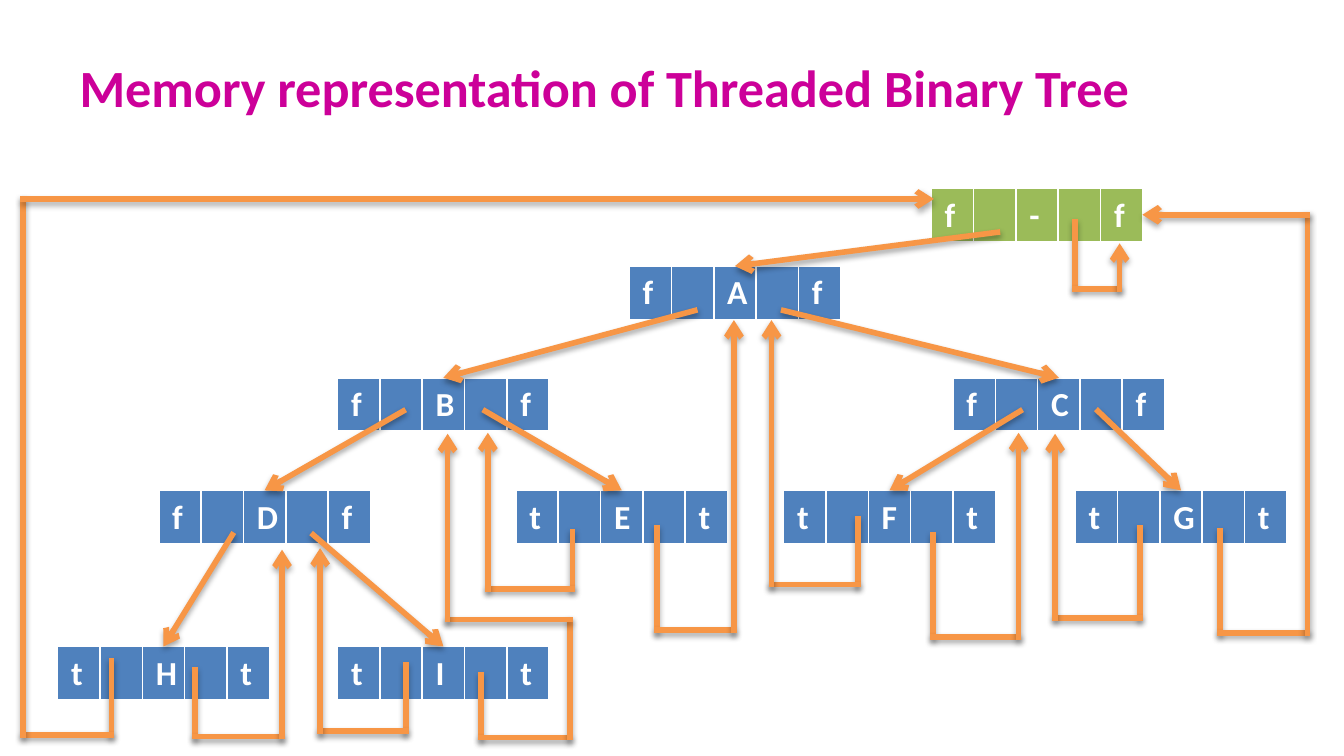
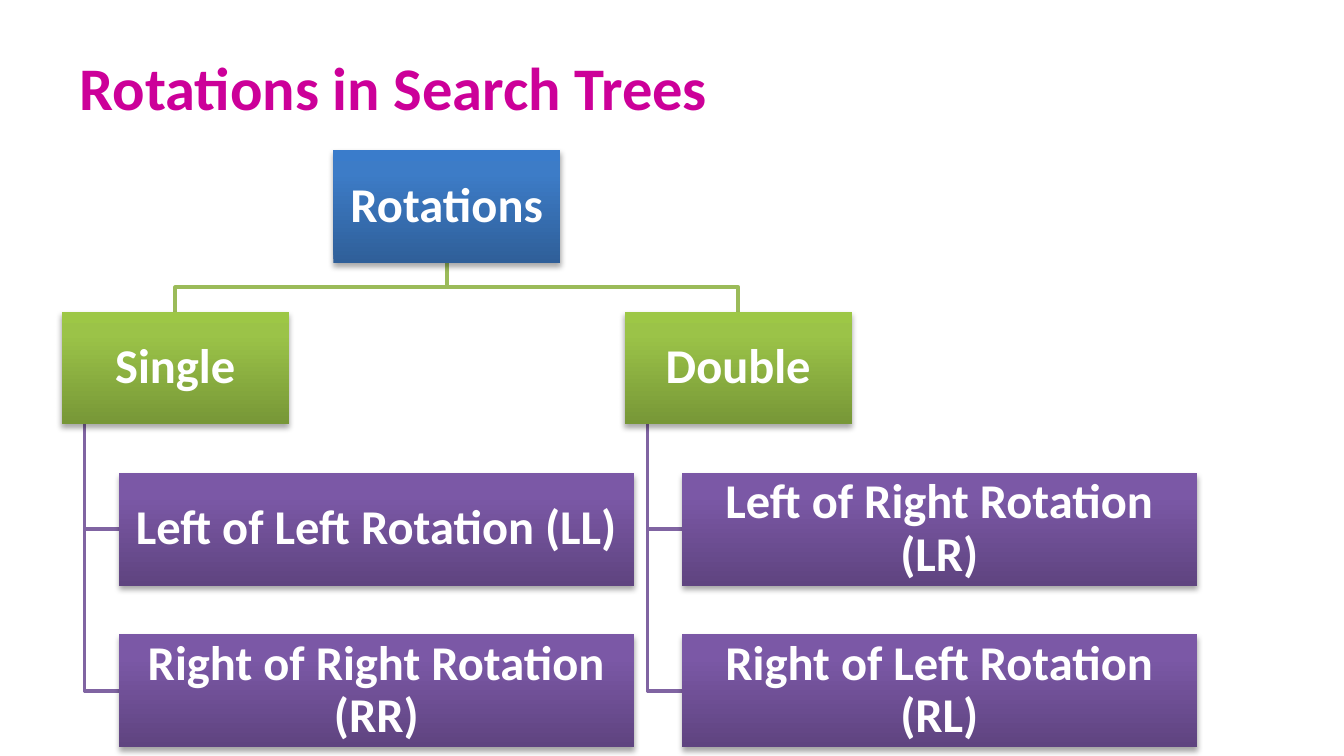
from itertools import pairwise

from lxml import etree
from pptx import Presentation
from pptx.dml.color import RGBColor
from pptx.enum.shapes import MSO_CONNECTOR, MSO_SHAPE
from pptx.enum.text import MSO_ANCHOR, MSO_AUTO_SIZE, PP_ALIGN
from pptx.oxml import parse_xml
from pptx.oxml.ns import nsdecls, qn
from pptx.util import Cm, Pt

FONT = "Calibri"
MAGENTA = RGBColor(0xCC, 0x00, 0x99)
WHITE = RGBColor(0xFF, 0xFF, 0xFF)
BLUE = RGBColor(0x4F, 0x81, 0xBD)
GREEN = RGBColor(0x9B, 0xBB, 0x59)
PURPLE = RGBColor(0x80, 0x64, 0xA2)
ORANGE = RGBColor(0xF7, 0x96, 0x46)

# Gradient colours at 0, 80 and 100 percent, from the bottom up
BLUE_SHADES = [RGBColor(0x2F, 0x5F, 0x99), RGBColor(0x3D, 0x7C, 0xC7), RGBColor(0x3A, 0x7C, 0xCB)]
GREEN_SHADES = [RGBColor(0x77, 0x97, 0x37), RGBColor(0x9B, 0xC3, 0x48), RGBColor(0x9D, 0xC7, 0x46)]
PURPLE_SHADES = [RGBColor(0x5F, 0x44, 0x80), RGBColor(0x7B, 0x58, 0xA6), RGBColor(0x7C, 0x57, 0xA8)]
STOPS = [0, 80000, 100000]

# Memory nodes: five fields in a row
FIELD_W, NODE_H = 0.8, 1.04
NODE_W = 5 * FIELD_W

# Rotation chart
BOX_W, BOX_H, LEAF_W = 4.29, 2.13, 9.73
ROW_TOP, ROW_STEP = 2.84, 3.05
LEAF_INDENT, STEM_INDENT = 1.08, 0.43


def write(tf, text, size=18, color=WHITE, align=PP_ALIGN.LEFT, spacing=None):
    p = tf.paragraphs[0]
    p.alignment = align
    if spacing:
        p.line_spacing = spacing
    r = p.add_run()
    r.text = text
    r.font.name, r.font.size, r.font.bold = FONT, Pt(size), True
    r.font.color.rgb = color


def add_shadow(shape):
    spPr = shape._element.spPr
    for old in spPr.findall(qn("a:effectLst")):
        spPr.remove(old)
    spPr.append(parse_xml(
        f'<a:effectLst {nsdecls("a")}>'
        '<a:outerShdw blurRad="40000" dist="23000" dir="5400000" rotWithShape="0">'
        '<a:srgbClr val="000000"><a:alpha val="35000"/></a:srgbClr>'
        '</a:outerShdw></a:effectLst>'))


class Deck:
    def __init__(self):
        self.prs = Presentation()
        self.prs.slide_width, self.prs.slide_height = Cm(25.4), Cm(14.29)
        self.s = None

    def slide(self, title, size):
        self.s = self.prs.slides.add_slide(self.prs.slide_layouts[5])
        sp = self.s.shapes.title
        sp.left, sp.top, sp.width, sp.height = Cm(1.25), Cm(0.79), Cm(22.91), Cm(1.7)
        tf = sp.text_frame
        tf.auto_size, tf.vertical_anchor = MSO_AUTO_SIZE.NONE, MSO_ANCHOR.MIDDLE
        write(tf, title, size=size, color=MAGENTA)

    def node(self, fields, x, y, color):
        frame = self.s.shapes.add_table(1, 5, Cm(x), Cm(y), Cm(NODE_W), Cm(NODE_H))
        for cell, text in zip(frame.table.rows[0].cells, fields):
            cell.fill.solid()
            cell.fill.fore_color.rgb = color
            if text:
                write(cell.text_frame, text)
            tcPr = cell._tc.get_or_add_tcPr()
            for i, (side, width) in enumerate(zip("LRTB", (1, 1, 1, 3))):
                tcPr.insert(i, parse_xml(
                    f'<a:ln{side} {nsdecls("a")} w="{Pt(width)}"><a:solidFill>'
                    f'<a:srgbClr val="{WHITE}"/></a:solidFill></a:ln{side}>'))

    def line(self, start, end, arrow=True, shapes=None):
        shapes = self.s.shapes if shapes is None else shapes
        c = shapes.add_connector(MSO_CONNECTOR.STRAIGHT, *map(Cm, start + end))
        c.line.color.rgb = ORANGE
        c.line.width = Pt(3)
        ln = c.line._get_or_add_ln()
        ln.set("cap", "sq")
        if arrow:
            etree.SubElement(ln, qn("a:tailEnd"), type="arrow")
        add_shadow(c)

    def thread(self, x, y, *turns):
        """Go from (x, y) along turns, which give a new y and a new x in turn."""
        points = [(x, y)]
        for i, turn in enumerate(turns):
            x, y = (turn, y) if i % 2 else (x, turn)
            points.append((x, y))
        shapes = self.s.shapes.add_group_shape().shapes
        for start, end in pairwise(points):
            self.line(start, end, end == points[-1], shapes)

    def elbow(self, color, *points):
        first, *rest = [(Cm(x), Cm(y)) for x, y in points]
        builder = self.s.shapes.build_freeform(*first)
        builder.add_line_segments(rest, close=False)
        sp = builder.convert_to_shape()
        sp.shadow.inherit = False
        sp.fill.background()
        sp.line.color.rgb = color
        sp.line.width = Pt(2)

    def box(self, text, x, y, w, shades):
        sp = self.s.shapes.add_shape(MSO_SHAPE.RECTANGLE, Cm(x), Cm(y), Cm(w), Cm(BOX_H))
        sp.line.fill.background()
        sp.fill.gradient()
        sp.fill.gradient_angle = 90
        stops = sp._element.spPr.find(".//" + qn("a:gsLst"))
        stops.clear()
        for pos, shade in zip(STOPS, shades):
            gs = etree.SubElement(stops, qn("a:gs"), pos=str(pos))
            etree.SubElement(gs, qn("a:srgbClr"), val=str(shade))
        add_shadow(sp)
        tf = sp.text_frame
        tf.word_wrap, tf.vertical_anchor = True, MSO_ANCHOR.MIDDLE
        tf.margin_left = tf.margin_right = tf.margin_top = tf.margin_bottom = Cm(0.04)
        write(tf, text, size=26, align=PP_ALIGN.CENTER, spacing=0.9)


def threaded_tree(deck):
    deck.slide("Memory representation of Threaded Binary Tree", 28)

    # Nodes: label, flag, left, top, start of the link from the parent
    nodes = [
        ("A", "f", 11.89, 5.03, (18.85, 4.39)),
        ("B", "f", 6.38, 7.14, (13.13, 5.87)),
        ("C", "f", 18.01, 7.14, (14.81, 5.87)),
        ("D", "f", 3, 9.27, (7.62, 7.77)),
        ("E", "t", 9.75, 9.27, (9.17, 7.77)),
        ("F", "t", 14.81, 9.27, (19.28, 7.77)),
        ("G", "t", 20.32, 9.27, (20.75, 7.77)),
        ("H", "t", 1.09, 12.22, (4.39, 10.11)),
        ("I", "t", 6.38, 12.22, (5.92, 10.11)),
    ]
    deck.node(["f", "", "-", "", "f"], 17.6, 3.56, GREEN)
    for label, flag, x, y, _ in nodes:
        deck.node([flag, "", label, "", flag], x, y, BLUE)

    # Child links end at the top middle of the child
    for _, _, x, y, start in nodes:
        deck.line(start, (x + NODE_W / 2, y))

    # Threads
    for route in [
        (20.32, 4.19, 5.46, 21.16, 4.6),                   # header to itself
        (17.63, 10.11, 12.04, 19.25, 8.18),                # F to C
        (12.42, 9.98, 11.91, 13.87, 6.05),                 # E to A
        (3.68, 12.67, 13.92, 5.33, 10.39),                 # H to D
        (9.09, 12.75, 13.94, 10.77, 11.71, 8.46, 8.2),     # I to B
        (23.06, 10.03, 11.96, 24.71, 4.06, 21.59),         # G to header
        (2.11, 12.5, 13.89, 0.43, 3.76, 17.65),            # H to header
        (7.67, 12.57, 13.82, 6.05, 10.36),                 # I to D
        (10.82, 10.06, 11.13, 9.22, 8.18),                 # E to B
        (21.54, 9.98, 11.68, 19.94, 8.2),                  # G to C
        (16.21, 9.8, 11.05, 14.58, 6.05),                  # F to A
    ]:
        deck.thread(*route)


def rotations(deck):
    deck.slide("Rotations in Search Trees", 32.4)
    rows = [ROW_TOP + i * ROW_STEP for i in range(4)]
    root_x = 6.3
    branches = [
        ("Single", 1.17, ["Left of Left Rotation (LL)", "Right of Right Rotation (RR)"]),
        ("Double", 11.81, ["Left of Right Rotation (LR)", "Right of Left Rotation (RL)"]),
    ]

    # Elbow lines
    root_mid, root_bottom = root_x + BOX_W / 2, rows[0] + BOX_H
    bend = (root_bottom + rows[1]) / 2
    for _, x, _ in branches:
        mid, stem = x + BOX_W / 2, x + STEM_INDENT
        deck.elbow(GREEN, (root_mid, root_bottom), (root_mid, bend), (mid, bend), (mid, rows[1]))
        for y in rows[2:]:
            deck.elbow(PURPLE, (stem, rows[1] + BOX_H), (stem, y + BOX_H / 2),
                       (x + LEAF_INDENT, y + BOX_H / 2))

    # Boxes
    deck.box("Rotations", root_x, rows[0], BOX_W, BLUE_SHADES)
    for name, x, leaves in branches:
        deck.box(name, x, rows[1], BOX_W, GREEN_SHADES)
        for leaf, y in zip(leaves, rows[2:]):
            deck.box(leaf, x + LEAF_INDENT, y, LEAF_W, PURPLE_SHADES)


def main():
    deck = Deck()
    threaded_tree(deck)
    rotations(deck)
    deck.prs.save("out.pptx")


if __name__ == "__main__":
    main()
